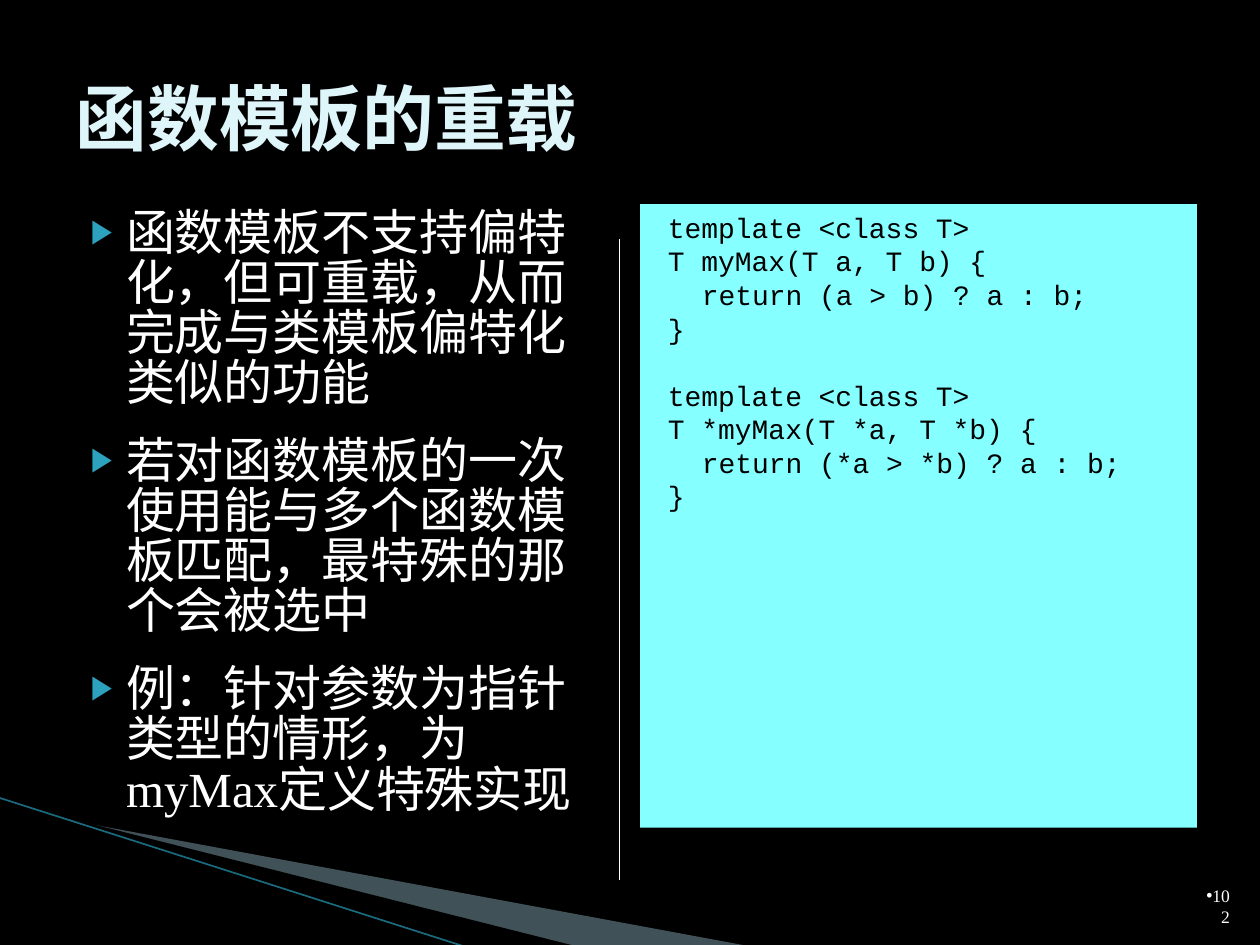
"""Build the slide on overloading function templates."""
from dataclasses import dataclass

from lxml import etree
from pptx import Presentation
from pptx.dml.color import RGBColor
from pptx.enum.shapes import MSO_CONNECTOR
from pptx.enum.text import MSO_ANCHOR, MSO_AUTO_SIZE, PP_ALIGN
from pptx.oxml.ns import qn
from pptx.util import Pt

STRAIGHT = MSO_CONNECTOR.STRAIGHT
MIDDLE, BOTTOM = MSO_ANCHOR.MIDDLE, MSO_ANCHOR.BOTTOM
LEFT, RIGHT = PP_ALIGN.LEFT, PP_ALIGN.RIGHT
NO_AUTOFIT = MSO_AUTO_SIZE.NONE


@dataclass(frozen=True)
class Theme:
    background: str = "000000"
    title: str = "DEF5FA"
    text: str = "FFFFFF"
    code: str = "000000"
    code_panel: str = "85FFFF"
    bullet: str = "2DA2BF"
    wedge: str = "A0CBDC"
    accent_line: str = "1A6B7E"
    title_size: float = 41
    body_size: float = 28
    code_size: float = 16
    number_size: float = 10
    mono: str = "Courier New"
    serif: str = "Times New Roman"
    heading: str = "DejaVu Sans Mono"


THEME = Theme()


def add_run(paragraph, text, font, size, color, bold=False):
    run = paragraph.add_run()
    run.text = text
    run.font.name = font
    run.font.size = Pt(size)
    run.font.bold = bold
    run.font.color.rgb = RGBColor.from_string(color)
    etree.SubElement(run.font._element, qn("a:ea"), typeface=font)


def set_bullet(paragraph, character=None, color=None, percent=100, margin=0, indent=0):
    properties = paragraph._p.get_or_add_pPr()
    properties.set("marL", str(Pt(margin)))
    properties.set("indent", str(Pt(indent)))
    if character is None:
        etree.SubElement(properties, qn("a:buNone"))
        return
    bullet_color = etree.SubElement(properties, qn("a:buClr"))
    etree.SubElement(bullet_color, qn("a:srgbClr"), val=color)
    etree.SubElement(properties, qn("a:buSzPct"), val=str(percent * 1000))
    etree.SubElement(properties, qn("a:buFont"), typeface="Arial")
    etree.SubElement(properties, qn("a:buChar"), char=character)


presentation = Presentation()
presentation.slide_width, presentation.slide_height = Pt(720), Pt(540)
slide = presentation.slides.add_slide(presentation.slide_layouts[3])
slide.background.fill.solid()
slide.background.fill.fore_color.rgb = RGBColor.from_string(THEME.background)
title, body, code = slide.placeholders

wedges = [
    ([(39.6, 468.7), (428.4, 540.7), (328.3, 540.7), (39.6, 468)], THEME.wedge, 40),
    ([(38.2, 467.3), (329, 540.7), (267.8, 541.4), (38.9, 468)], THEME.background, 100),
]
for points, color, opacity in wedges:
    corners = [(Pt(x), Pt(y)) for x, y in points]
    builder = slide.shapes.build_freeform(*corners[0], scale=1.0)
    builder.add_line_segments(corners[1:], close=True)
    wedge = builder.convert_to_shape()
    wedge.shadow.inherit = False
    wedge.line.fill.background()
    wedge.fill.solid()
    wedge.fill.fore_color.rgb = RGBColor.from_string(color)
    if opacity < 100:
        fill_color = wedge._element.spPr.find(".//" + qn("a:srgbClr"))
        etree.SubElement(fill_color, qn("a:alpha"), val=str(opacity * 1000))

lines = [
    ((-0.7, 455.8), (267.1, 541.4), THEME.accent_line, 0.95),
    ((354.2, 136.8), (354.2, 502.6), THEME.text, 0.75),
]
for start, end, color, width in lines:
    line = slide.shapes.add_connector(STRAIGHT, *map(Pt, start + end))
    line.line.color.rgb = RGBColor.from_string(color)
    line.line.width = Pt(width)
    etree.SubElement(line._element.spPr, qn("a:effectLst"))

number = slide.shapes.add_textbox(0, 0, 0, 0)
frames = [
    (title, (36, 21.6, 648, 90)),
    (body, (36, 116.6, 318.2, 356.4)),
    (code, (365.8, 116.6, 318.2, 356.4)),
    (number, (681.1, 504.7, 28.8, 28.8)),
]
for shape, box in frames:
    shape.left, shape.top, shape.width, shape.height = map(Pt, box)
    shape.text_frame.word_wrap = True
    shape.text_frame.auto_size = NO_AUTOFIT

title.text_frame.vertical_anchor = MIDDLE
paragraph = title.text_frame.paragraphs[0]
paragraph.alignment = LEFT
add_run(paragraph, "函数模板的重载", THEME.heading, THEME.title_size, THEME.title, True)

points = [
    [("函数模板不支持偏特化，但可重载，从而完成与类模板偏特化类似的功能", THEME.mono)],
    [("若对函数模板的一次使用能与多个函数模板匹配，最特殊的那个会被选中", THEME.mono)],
    [("例：针对参数为指针类型的情形，为", THEME.mono), ("myMax", THEME.serif),
     ("定义特殊实现", THEME.mono)],
]
for index, runs in enumerate(points):
    frame = body.text_frame
    paragraph = frame.add_paragraph() if index else frame.paragraphs[0]
    paragraph.line_spacing = Pt(28.6)
    paragraph.space_before, paragraph.space_after = Pt(4), Pt(12)
    set_bullet(paragraph, "▶", THEME.bullet, 68, 28.8, -20.2)
    for text, font in runs:
        add_run(paragraph, text, font, THEME.body_size, THEME.text)

code.fill.solid()
code.fill.fore_color.rgb = RGBColor.from_string(THEME.code_panel)
functions = [
    ["template <class T>", "T myMax(T a, T b) {", "\treturn (a > b) ? a : b;", "}"],
    ["template <class T>", "T *myMax(T *a, T *b) {", "\treturn (*a > *b) ? a : b;", "}"],
]
code_pitch = 19.2
for block, statements in enumerate(functions):
    for row, statement in enumerate(statements):
        frame = code.text_frame
        paragraph = frame.add_paragraph() if block or row else frame.paragraphs[0]
        paragraph.line_spacing = Pt(code_pitch)
        paragraph.space_before = Pt(code_pitch if block and not row else 0)
        set_bullet(paragraph, margin=28.1, indent=-19.4)
        add_run(paragraph, statement, THEME.mono, THEME.code_size, THEME.code)

number.text_frame.vertical_anchor = BOTTOM
paragraph = number.text_frame.paragraphs[0]
paragraph.alignment = RIGHT
set_bullet(paragraph, "•", THEME.text)
add_run(paragraph, "102", THEME.serif, THEME.number_size, THEME.text)

presentation.save("out.pptx")
